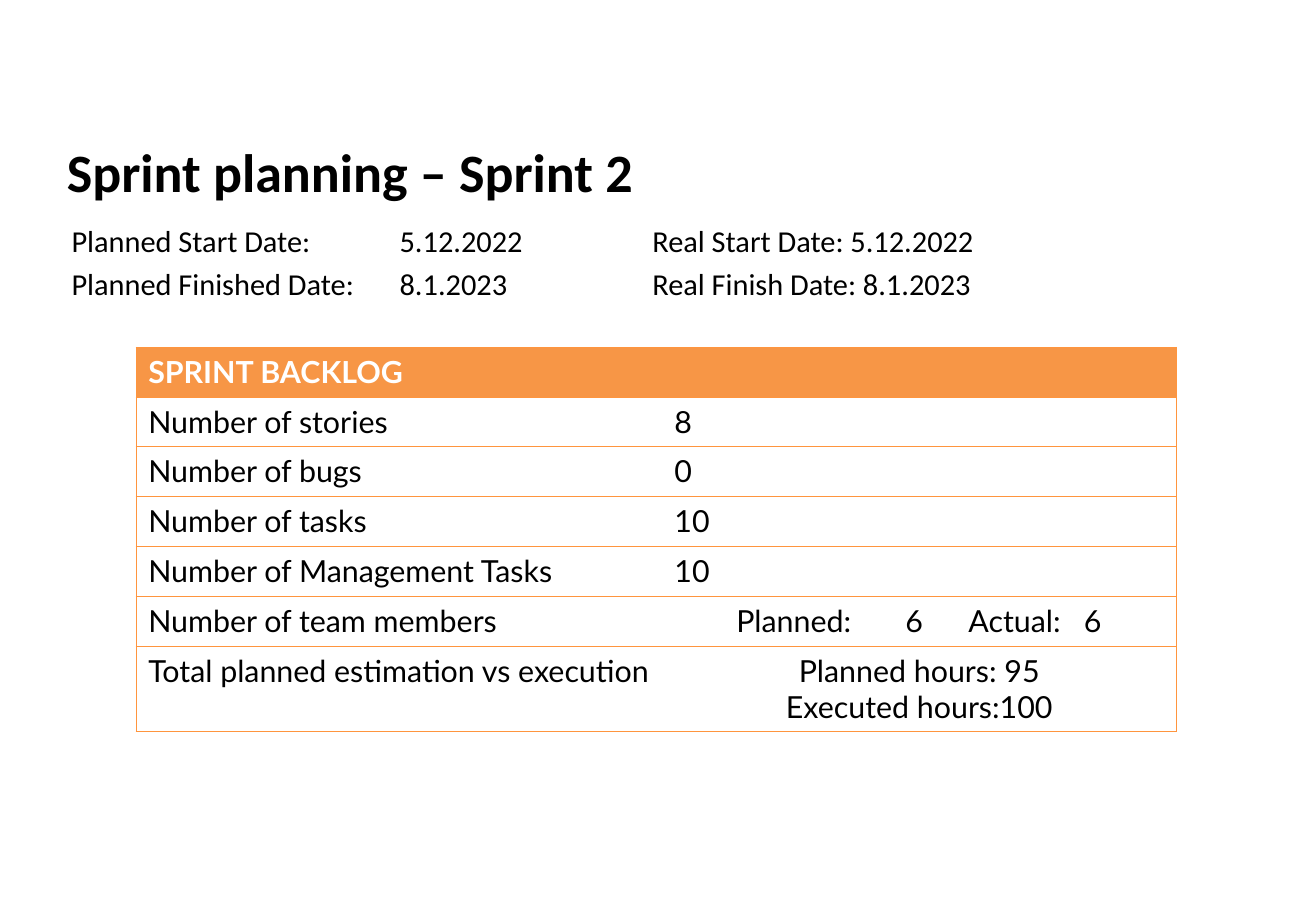
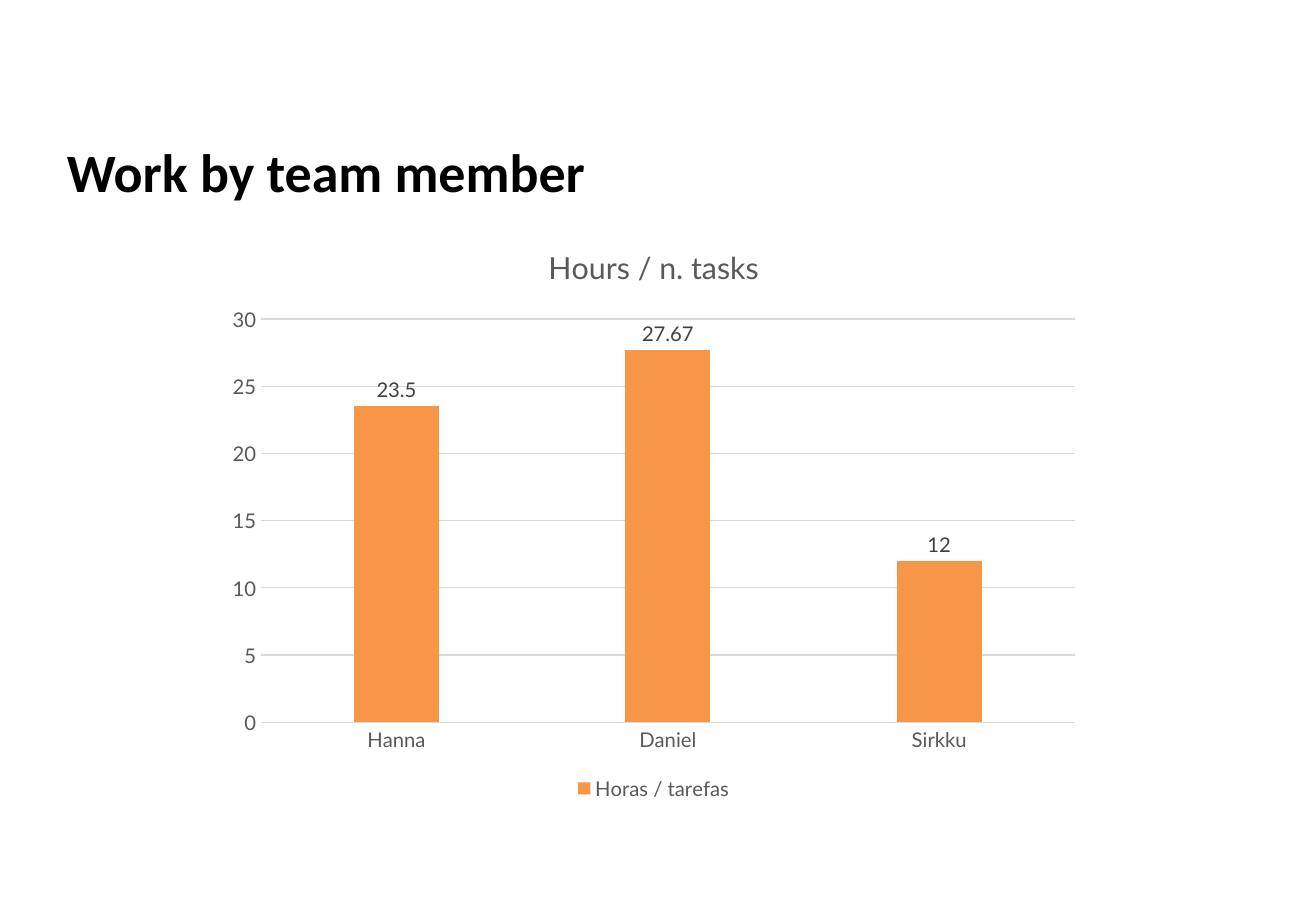
import dataclasses

import lxml.etree
import pptx
import pptx.chart.data
import pptx.dml.color
import pptx.enum.chart
import pptx.enum.text
import pptx.oxml.ns
import pptx.util

Inches = pptx.util.Inches
Pt = pptx.util.Pt
qn = pptx.oxml.ns.qn
ALIGN = pptx.enum.text.PP_ALIGN


@dataclasses.dataclass(frozen=True)
class Theme:
    black: str = "000000"
    white: str = "FFFFFF"
    accent: str = "F79646"
    border: str = "FF953E"
    axis_text: str = "595959"
    label_text: str = "404040"
    grid: str = "D9D9D9"
    title_font: str = "Calibri"
    data_font: str = "Lato"
    title_size: float = 32
    body_size: float = 18
    chart_size: float = 12
    line_width: float = 0.75


@dataclasses.dataclass(frozen=True)
class Box:
    left: float
    top: float
    width: float
    height: float

    def lengths(self):
        return [Inches(side) for side in dataclasses.astuple(self)]


THEME = Theme()
PAGE_WIDTH, PAGE_HEIGHT = 10.83, 7.5
TITLE_BOX = Box(0.45, 1.09, 9.89, 0.63)
DATES_BOX = Box(0.49, 1.78, 9.89, 0.78)
TABLE_BOX = Box(1.12, 2.86, 8.56, 2.87)
CHART_BOX = Box(1.77, 1.83, 7.22, 4.8)
FIRST_COLUMN = 4.33
DATE_TABS = (2.7, 4.78)
MEMBER_TABS = (0.51, 1.9, 2.42, 3.37)

DATES = [
    "Planned Start Date:\t5.12.2022\tReal Start Date: 5.12.2022",
    "Planned Finished Date:\t8.1.2023\tReal Finish Date: 8.1.2023",
]
BACKLOG = [
    ("SPRINT BACKLOG", []),
    ("Number of stories", ["8"]),
    ("Number of bugs", ["0"]),
    ("Number of tasks", ["10"]),
    ("Number of Management Tasks", ["10"]),
    ("Number of team members", ["\tPlanned:\t6\tActual:\t6"]),
    ("Total planned estimation vs execution",
     ["Planned hours: 95", "Executed hours:100"]),
]
HOURS = {"Hanna": 23.5, "Daniel": 27.67, "Sirkku": 12}


def rgb(value):
    return pptx.dml.color.RGBColor.from_string(value)


def style_font(font, name, size, color, bold=False):
    font.name = name
    font.size = Pt(size)
    font.bold = bold
    font.color.rgb = rgb(color)


def set_tabs(para, stops):
    tab_list = lxml.etree.SubElement(para._p.get_or_add_pPr(), qn("a:tabLst"))
    for stop in stops:
        lxml.etree.SubElement(tab_list, qn("a:tab"), pos=str(Inches(stop)), algn="l")


def write_lines(frame, lines, font_name, size, color, bold=False, align=ALIGN.LEFT,
                space_after=None, tabs=()):
    for index, line in enumerate(lines):
        para = frame.add_paragraph() if index else frame.paragraphs[0]
        para.alignment = align
        if space_after is not None:
            para.space_after = Pt(space_after)
        if tabs:
            set_tabs(para, tabs)
        span = para.add_run()
        span.text = line
        style_font(span.font, font_name, size, color, bold)


def add_titled_page(deck, title):
    page = deck.slides.add_slide(deck.slide_layouts.get_by_name("Title Only"))
    shape = page.shapes.title
    shape.left, shape.top, shape.width, shape.height = TITLE_BOX.lengths()
    shape.text_frame.vertical_anchor = pptx.enum.text.MSO_ANCHOR.MIDDLE
    write_lines(shape.text_frame, [title], THEME.title_font, THEME.title_size,
                THEME.black, bold=True)
    return page


def add_dates(page, box):
    frame = page.shapes.add_textbox(*box.lengths()).text_frame
    frame.word_wrap = True
    write_lines(frame, DATES, THEME.title_font, THEME.body_size, THEME.black,
                space_after=4, tabs=DATE_TABS)


def set_cell_borders(cell, visible):
    properties = cell._tc.get_or_add_tcPr()
    for index, side in enumerate(("lnL", "lnR", "lnT", "lnB")):
        line = lxml.etree.Element(qn("a:" + side), w=str(Pt(THEME.line_width)))
        if side in visible:
            fill = lxml.etree.SubElement(line, qn("a:solidFill"))
            lxml.etree.SubElement(fill, qn("a:srgbClr"), val=THEME.border)
        else:
            lxml.etree.SubElement(line, qn("a:noFill"))
        properties.insert(index, line)


def add_backlog(page, box):
    table = page.shapes.add_table(len(BACKLOG), 2, *box.lengths()).table
    table.horz_banding = False
    table.columns[0].width = Inches(FIRST_COLUMN)
    table.columns[1].width = Inches(box.width - FIRST_COLUMN)
    for row, (label, values) in enumerate(BACKLOG):
        table.rows[row].height = Inches(box.height / len(BACKLOG))
        header = row == 0
        for column, lines in enumerate(([label], values)):
            cell = table.cell(row, column)
            if header:
                cell.fill.solid()
                cell.fill.fore_color.rgb = rgb(THEME.accent)
            else:
                cell.fill.background()
            set_cell_borders(cell, {"lnT", "lnB", "lnR" if column else "lnL"})
            tabbed = any("\t" in line for line in lines)
            write_lines(cell.text_frame, lines, THEME.data_font, THEME.body_size,
                        THEME.white if header else THEME.black, bold=header,
                        align=ALIGN.CENTER if len(lines) > 1 else ALIGN.LEFT,
                        tabs=MEMBER_TABS if tabbed else ())


def style_axis(axis):
    axis.major_tick_mark = pptx.enum.chart.XL_TICK_MARK.NONE
    axis.minor_tick_mark = pptx.enum.chart.XL_TICK_MARK.NONE
    style_font(axis.tick_labels.font, THEME.data_font, THEME.chart_size, THEME.axis_text)


def style_line(line):
    line.color.rgb = rgb(THEME.grid)
    line.width = Pt(THEME.line_width)


def add_hours_chart(page, box):
    data = pptx.chart.data.CategoryChartData()
    data.categories = list(HOURS)
    data.add_series("Horas / tarefas", list(HOURS.values()))
    chart = page.shapes.add_chart(pptx.enum.chart.XL_CHART_TYPE.COLUMN_CLUSTERED,
                                  *box.lengths(), data).chart
    style_font(chart.font, THEME.data_font, THEME.chart_size, THEME.axis_text)
    chart.has_title = True
    write_lines(chart.chart_title.text_frame, ["Hours / n. tasks"], THEME.data_font,
                THEME.body_size, THEME.axis_text, align=ALIGN.CENTER)
    chart.chart_title.include_in_layout = False

    chart.has_legend = True
    chart.legend.position = pptx.enum.chart.XL_LEGEND_POSITION.BOTTOM
    chart.legend.include_in_layout = False
    style_font(chart.legend.font, THEME.data_font, THEME.chart_size, THEME.axis_text)

    style_axis(chart.category_axis)
    style_line(chart.category_axis.format.line)
    value_axis = chart.value_axis
    style_axis(value_axis)
    value_axis.minimum_scale, value_axis.maximum_scale = 0, 30
    value_axis.major_unit = 5
    value_axis.format.line.fill.background()
    style_line(value_axis.major_gridlines.format.line)

    plot = chart.plots[0]
    plot.vary_by_categories = False
    plot.gap_width = 219
    plot.overlap = -27
    series = plot.series[0]
    series.format.fill.solid()
    series.format.fill.fore_color.rgb = rgb(THEME.accent)
    labels = series.data_labels
    labels.show_value = True
    labels.position = pptx.enum.chart.XL_LABEL_POSITION.OUTSIDE_END
    style_font(labels.font, THEME.data_font, THEME.chart_size, THEME.label_text)


def main():
    deck = pptx.Presentation()
    deck.slide_width = Inches(PAGE_WIDTH)
    deck.slide_height = Inches(PAGE_HEIGHT)

    planning = add_titled_page(deck, "Sprint planning – Sprint 2")
    add_backlog(planning, TABLE_BOX)
    add_dates(planning, DATES_BOX)

    work = add_titled_page(deck, "Work by team member")
    add_hours_chart(work, CHART_BOX)

    deck.save("out.pptx")


if __name__ == "__main__":
    main()
